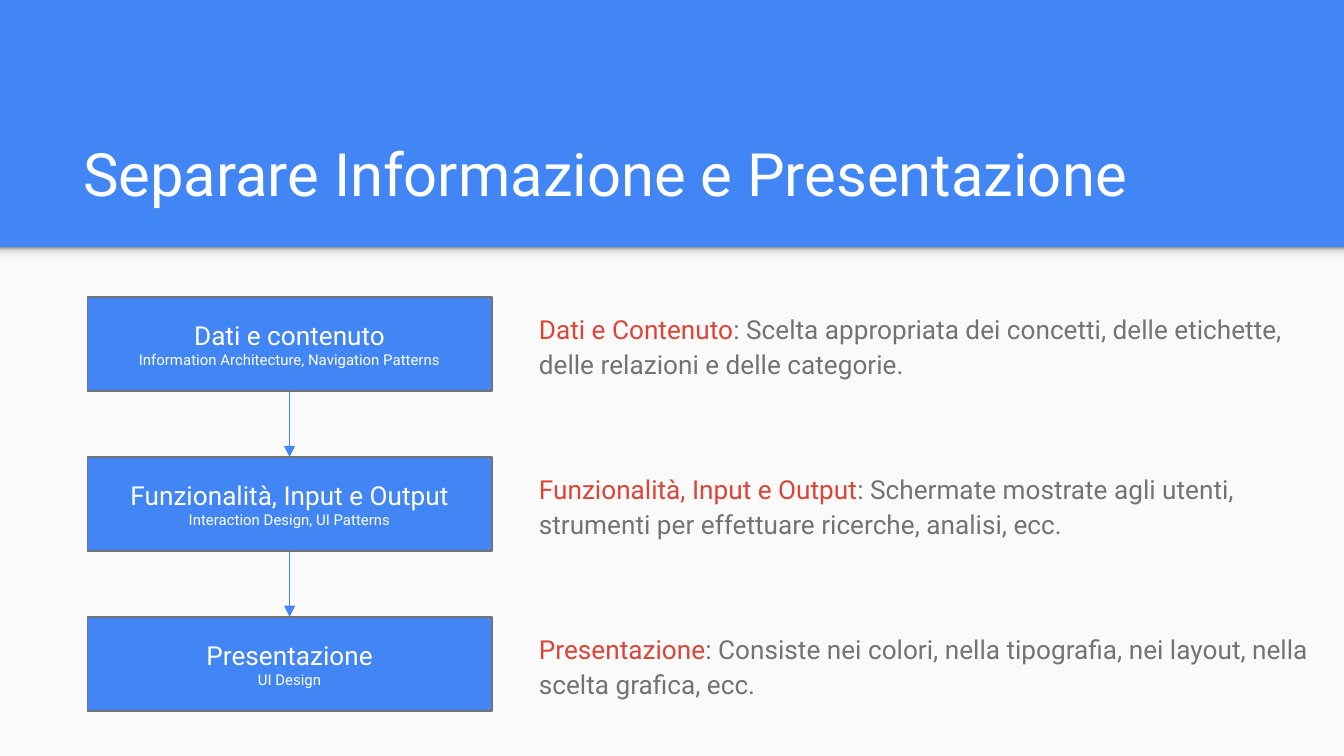
from copy import deepcopy

from lxml.etree import SubElement
from pptx import Presentation
from pptx.dml.color import RGBColor
from pptx.enum.shapes import MSO_CONNECTOR, MSO_SHAPE
from pptx.enum.text import MSO_ANCHOR, PP_ALIGN
from pptx.oxml.ns import qn
from pptx.util import Inches, Pt

COLORS = {
    "blue": "4285F4",
    "paper": "FAFAFA",
    "white": "FFFFFF",
    "gray": "737373",
    "red": "DB4437",
}
FONT = "Roboto"
SHADOW_STOPS = [(0, "F9F9F9"), (36, "F9F9F9"), (80, "DEDEDE"), (100, "999999")]
NO_TABLE_STYLE = "{2D5ABB26-0587-4C30-8999-92F81FD0307C}"

# Box heading, box subtitle, highlighted term, explanation
LAYERS = [
    ("Dati e contenuto", "Information Architecture, Navigation Patterns", "Dati e Contenuto",
     ": Scelta appropriata dei concetti, delle etichette, delle relazioni e delle categorie."),
    ("Funzionalità, Input e Output", "Interaction Design, UI Patterns", "Funzionalità, Input e Output",
     ": Schermate mostrate agli utenti, strumenti per effettuare ricerche, analisi, ecc."),
    ("Presentazione", "UI Design", "Presentazione",
     ": Consiste nei colori, nella tipografia, nei layout, nella scelta grafica, ecc."),
]
SLIDE_WIDTH = 10
SLIDE_HEIGHT = SLIDE_WIDTH * 9 / 16
BAND_HEIGHT = 1.84
BOX_LEFT, BOX_TOP, BOX_WIDTH, BOX_HEIGHT = 0.65, 2.21, 3.01, 0.7
BOX_STEP = 1.19
ROW_HEIGHTS = [1.19, 1.19, 1.02]


def add_rectangle(left, top, width, height):
    shape = slide.shapes.add_shape(
        MSO_SHAPE.RECTANGLE, Inches(left), Inches(top), Inches(width), Inches(height))
    shape.shadow.inherit = False
    shape.line.fill.background()
    return shape


def set_font(font, size, color):
    font.name = FONT
    font.size = Pt(size)
    font.color.rgb = RGBColor.from_string(COLORS[color])


presentation = Presentation()
presentation.slide_width = Inches(SLIDE_WIDTH)
presentation.slide_height = Inches(SLIDE_HEIGHT)
slide = presentation.slides.add_slide(presentation.slide_layouts[6])
slide.background.fill.solid()
slide.background.fill.fore_color.rgb = RGBColor.from_string(COLORS["blue"])

# Content panel with a soft shadow under the title band
panel = add_rectangle(0, BAND_HEIGHT, SLIDE_WIDTH, SLIDE_HEIGHT - BAND_HEIGHT)
panel.fill.solid()
panel.fill.fore_color.rgb = RGBColor.from_string(COLORS["paper"])

band_shadow = add_rectangle(0, BAND_HEIGHT, SLIDE_WIDTH, 0.12)
band_shadow.fill.gradient()
band_shadow.fill.gradient_angle = 90
stop_list = band_shadow._element.spPr.find(qn("a:gradFill")).find(qn("a:gsLst"))
for stop in list(stop_list):
    stop_list.append(deepcopy(stop))
for stop, (position, color) in zip(band_shadow.fill.gradient_stops, SHADOW_STOPS):
    stop.position = position / 100
    stop.color.rgb = RGBColor.from_string(color)

# Title
title = slide.shapes.add_textbox(Inches(0.52), Inches(0.81), Inches(8.99), Inches(0.84))
title_frame = title.text_frame
title_frame.word_wrap = True
title_frame.vertical_anchor = MSO_ANCHOR.BOTTOM
title_frame.margin_top = title_frame.margin_bottom = Inches(0.1)
title_frame.text = "Separare Informazione e Presentazione"
set_font(title_frame.paragraphs[0].font, 32, "white")

# Layer boxes
boxes = []
for index, (heading, subtitle, _, _) in enumerate(LAYERS):
    box = add_rectangle(BOX_LEFT, BOX_TOP + index * BOX_STEP, BOX_WIDTH, BOX_HEIGHT)
    box.fill.solid()
    box.fill.fore_color.rgb = RGBColor.from_string(COLORS["blue"])
    box.line.color.rgb = RGBColor.from_string(COLORS["gray"])
    box.line.width = Pt(0.75)
    frame = box.text_frame
    frame.word_wrap = True
    frame.vertical_anchor = MSO_ANCHOR.MIDDLE
    frame.margin_top = frame.margin_bottom = Inches(0.1)
    frame.text = f"{heading}\n{subtitle}"
    for paragraph, size in zip(frame.paragraphs, (14, 8)):
        paragraph.alignment = PP_ALIGN.CENTER
        set_font(paragraph.font, size, "white")
    boxes.append(box)

# Arrows from each box to the next
for upper, lower in zip(boxes, boxes[1:]):
    arrow = slide.shapes.add_connector(MSO_CONNECTOR.STRAIGHT, 0, 0, 0, 0)
    arrow.begin_connect(upper, 2)
    arrow.end_connect(lower, 0)
    arrow.line.color.rgb = RGBColor.from_string(COLORS["blue"])
    arrow.line.width = Pt(0.75)
    SubElement(arrow.line._get_or_add_ln(), qn("a:tailEnd"), type="triangle")
    SubElement(arrow._element.spPr, qn("a:effectLst"))

# Explanations
table_frame = slide.shapes.add_table(
    len(LAYERS), 1, Inches(3.91), Inches(BOX_TOP), Inches(5.96), Inches(sum(ROW_HEIGHTS)))
table = table_frame.table
table.first_row = table.horz_banding = False
table._tbl.tblPr.find(qn("a:tableStyleId")).text = NO_TABLE_STYLE
for row, height, (_, _, term, explanation) in zip(table.rows, ROW_HEIGHTS, LAYERS):
    row.height = Inches(height)
    cell = row.cells[0]
    cell.fill.background()
    cell.margin_top = cell.margin_bottom = Inches(0.1)
    paragraph = cell.text_frame.paragraphs[0]
    paragraph.line_spacing = 1.15
    for text, color in ((term, "red"), (explanation, "gray")):
        run = paragraph.add_run()
        run.text = text
        set_font(run.font, 14, color)

presentation.save("out.pptx")
